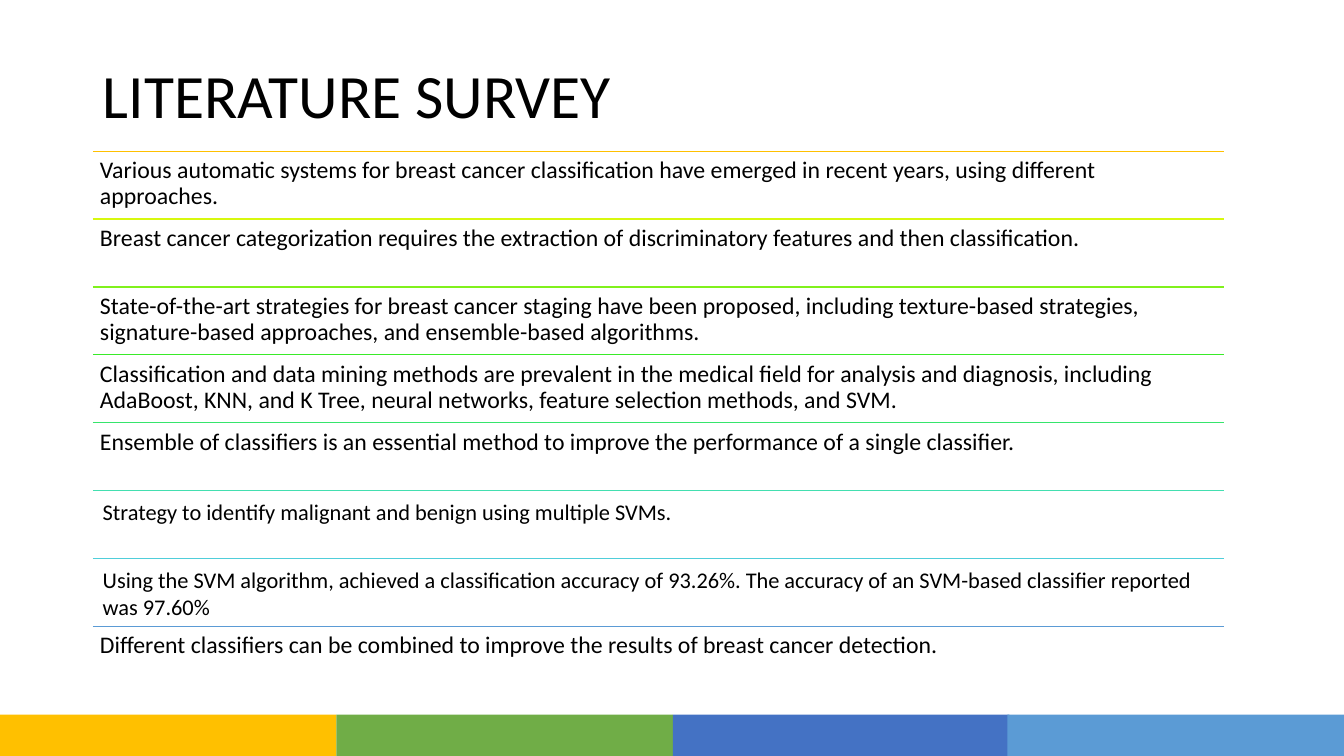
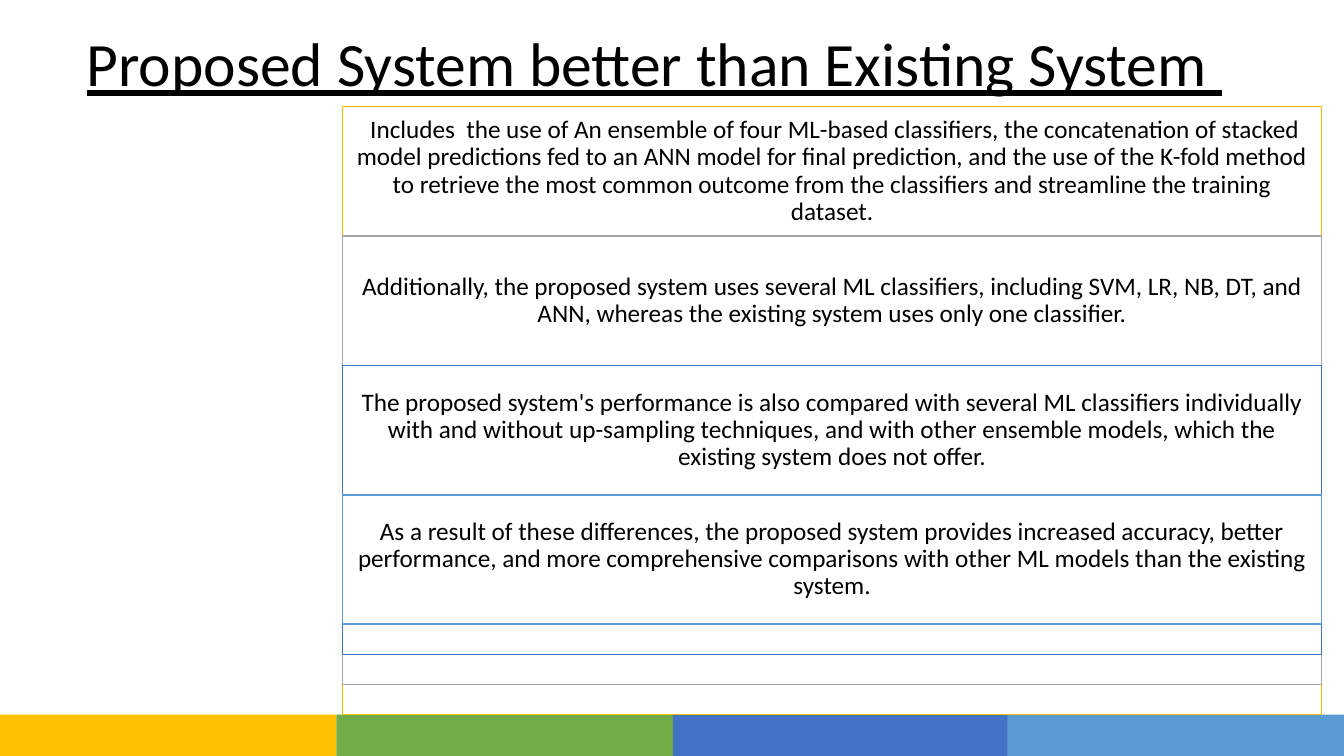
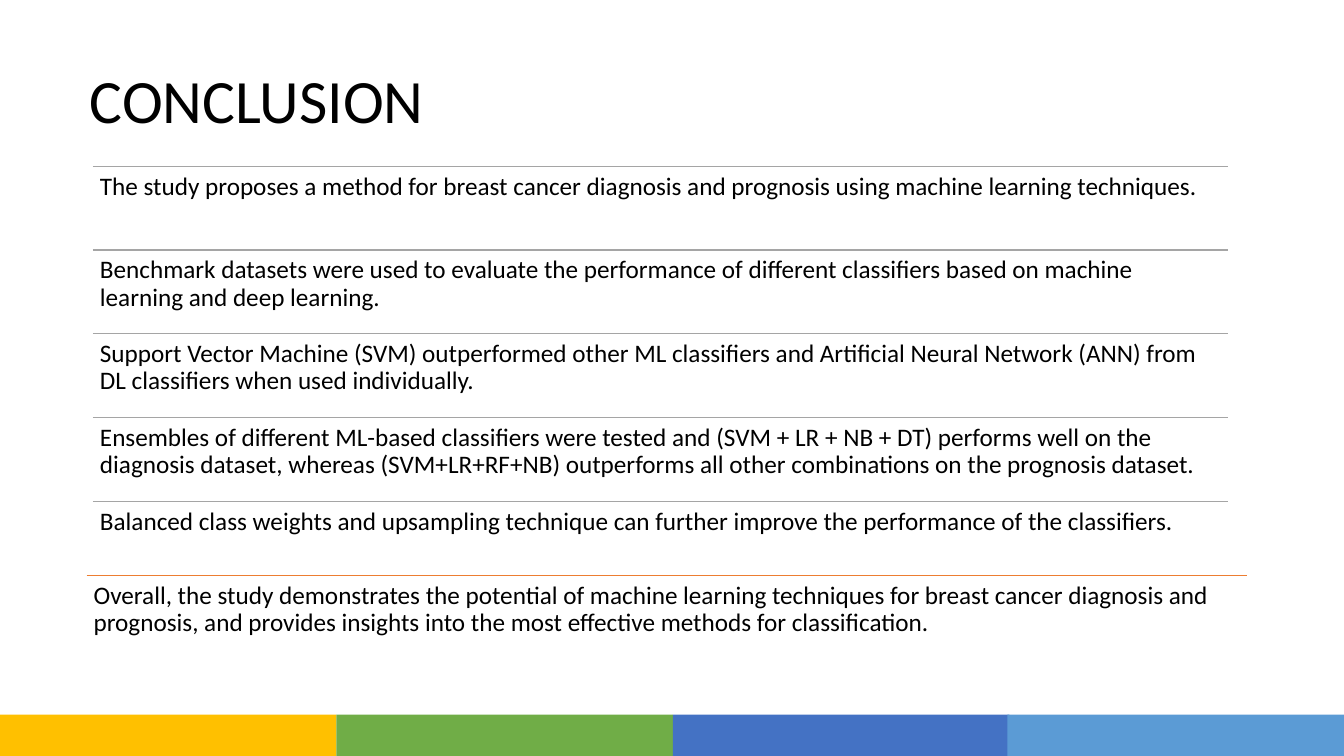
from lxml.etree import SubElement
from pptx import Presentation
from pptx.dml.color import RGBColor
from pptx.enum.shapes import MSO_CONNECTOR, MSO_SHAPE
from pptx.enum.text import MSO_ANCHOR, MSO_AUTO_SIZE, PP_ALIGN
from pptx.oxml.ns import qn
from pptx.util import Cm, Pt

BLACK = RGBColor(0x00, 0x00, 0x00)
WHITE = RGBColor(0xFF, 0xFF, 0xFF)
GOLD = RGBColor(0xFF, 0xC0, 0x00)
GREEN = RGBColor(0x70, 0xAD, 0x47)
BLUE = RGBColor(0x44, 0x72, 0xC4)
SKY = RGBColor(0x5B, 0x9B, 0xD5)
GREY = RGBColor(0xA5, 0xA5, 0xA5)
ORANGE = RGBColor(0xED, 0x7D, 0x31)
YELLOW = RGBColor(0xD7, 0xF8, 0x0E)
LIME = RGBColor(0x80, 0xF1, 0x1C)
LEAF = RGBColor(0x39, 0xEB, 0x29)
EMERALD = RGBColor(0x36, 0xE5, 0x6C)
MINT = RGBColor(0x43, 0xDF, 0xB0)
AQUA = RGBColor(0x4F, 0xCE, 0xDA)

WIDTH, HEIGHT = 33.87, 19.05
BAND_TOP, BAND_WIDTH = 18.01, 8.48

SURVEY = [
    (GOLD, "Various automatic systems for breast cancer classification have emerged in recent years, using different approaches."),
    (YELLOW, "Breast cancer categorization requires the extraction of discriminatory features and then classification."),
    (LIME, "State-of-the-art strategies for breast cancer staging have been proposed, including texture-based strategies, signature-based approaches, and ensemble-based algorithms."),
    (LEAF, "Classification and data mining methods are prevalent in the medical field for analysis and diagnosis, including AdaBoost, KNN, and K Tree, neural networks, feature selection methods, and SVM."),
    (EMERALD, "Ensemble of classifiers is an essential method to improve the performance of a single classifier."),
    (MINT, "Strategy to identify malignant and benign using multiple SVMs."),
    (AQUA, "Using the SVM algorithm, achieved a classification accuracy of 93.26%. The accuracy of an SVM-based classifier reported  was 97.60%"),
    (SKY, "Different classifiers can be combined to improve the results of breast cancer detection."),
]
SVM_ROWS = (MINT, AQUA)

ADVANTAGES = [
    (GOLD, " Includes  the use of An ensemble of four ML-based classifiers, the concatenation of stacked model predictions fed to an ANN model for final prediction, and the use of the K-fold method to retrieve the most common outcome from the classifiers and streamline the training dataset."),
    (GREY, "Additionally, the proposed system uses several ML classifiers, including SVM, LR, NB, DT, and ANN, whereas the existing system uses only one classifier."),
    (BLUE, "The proposed system's performance is also compared with several ML classifiers individually with and without up-sampling techniques, and with other ensemble models, which the existing system does not offer."),
    (SKY, "As a result of these differences, the proposed system provides increased accuracy, better performance, and more comprehensive comparisons with other ML models than the existing system."),
]

FINDINGS = [
    "The study proposes a method for breast cancer diagnosis and prognosis using machine learning techniques.",
    "Benchmark datasets were used to evaluate the performance of different classifiers based on machine learning and deep learning.",
    "Support Vector Machine (SVM) outperformed other ML classifiers and Artificial Neural Network (ANN) from DL classifiers when used individually.",
    "Ensembles of different ML-based classifiers were tested and (SVM + LR + NB + DT) performs well on the diagnosis dataset, whereas (SVM+LR+RF+NB) outperforms all other combinations on the prognosis dataset.",
    "Balanced class weights and upsampling technique can further improve the performance of the classifiers.",
]
OVERALL = "Overall, the study demonstrates the potential of machine learning techniques for breast cancer diagnosis and prognosis, and provides insights into the most effective methods for classification."


def assign(obj, values):
    for name, value in values.items():
        setattr(obj, name, value)


class Deck:
    font = {"name": "Calibri"}
    frame = {"word_wrap": True, "auto_size": MSO_AUTO_SIZE.NONE}

    def __init__(self):
        self.prs = Presentation()
        assign(self.prs, {"slide_width": Cm(WIDTH), "slide_height": Cm(HEIGHT)})
        self.layout = self.prs.slide_layouts[5]
        self.s = None

    def slide(self, text, x, y, w, underline=None):
        self.s = self.prs.slides.add_slide(self.layout)
        if len(self.prs.slides) == 1:
            self.bands()
        title = self.s.shapes.title
        assign(title, {"left": Cm(x), "top": Cm(y), "width": Cm(w), "height": Cm(2.69)})
        self.fill_text(title.text_frame, text, 44, anchor=MSO_ANCHOR.MIDDLE, underline=underline)

    def bands(self):
        for i, color in enumerate((GOLD, GREEN, BLUE, SKY)):
            x = min(i * BAND_WIDTH, WIDTH - BAND_WIDTH)
            band = self.rect(x, BAND_TOP, BAND_WIDTH, HEIGHT - BAND_TOP, color)
            band.element.nvSpPr.cNvPr.set("id", str(101 + i))
            self.layout.shapes.element.append(band.element)

    def fill_text(self, tf, text, size, align=PP_ALIGN.LEFT, anchor=MSO_ANCHOR.TOP,
                  spacing=0.9, underline=None):
        assign(tf, {**self.frame, "vertical_anchor": anchor})
        p = tf.paragraphs[0]
        assign(p, {"alignment": align, "line_spacing": spacing})
        r = p.add_run()
        r.text = text
        assign(r.font, {**self.font, "size": Pt(size), "underline": underline})
        r.font.color.rgb = BLACK

    def text(self, text, x, y, w, h, size=18, inset=(0.18, 0.18), **style):
        tf = self.s.shapes.add_textbox(Cm(x), Cm(y), Cm(w), Cm(h)).text_frame
        side, end = map(Cm, inset)
        assign(tf, {"margin_left": side, "margin_right": side,
                    "margin_top": end, "margin_bottom": end})
        self.fill_text(tf, text, size, **style)

    def rect(self, x, y, w, h, fill, line=None):
        sp = self.s.shapes.add_shape(MSO_SHAPE.RECTANGLE, Cm(x), Cm(y), Cm(w), Cm(h))
        sp.shadow.inherit = False
        sp.fill.solid()
        sp.fill.fore_color.rgb = fill
        if line is None:
            sp.line.fill.background()
        else:
            sp.line.color.rgb = line
            sp.line.width = Pt(1)
        return sp

    def rule(self, x, y, w, color):
        rule = self.s.shapes.add_connector(
            MSO_CONNECTOR.STRAIGHT, Cm(x), Cm(y), Cm(x + w), Cm(y))
        rule.line.color.rgb = color
        rule.line.width = Pt(1)
        SubElement(rule.element.spPr, qn("a:effectLst"))

    def ruled_text(self, text, x, y, w, h, color, drop=0, **style):
        self.rule(x, y, w, color)
        self.text(text, x, y + drop, w, h - drop, **style)


def literature_survey(deck):
    deck.slide("LITERATURE SURVEY", 2.34, 1.14, 19.25)
    plain = {"size": 17}
    svm = {"size": 16, "inset": (0.25, 0.13), "spacing": 1.0, "drop": 0.06}
    pitch = 1.71
    for i, (color, text) in enumerate(SURVEY):
        style = svm if color in SVM_ROWS else plain
        deck.ruled_text(text, 2.34, 3.81 + i * pitch, 28.5, pitch, color, **style)


def proposed_system(deck):
    deck.slide("Proposed System better than Existing System ", 1.93, 0.33, 29.62, underline=True)
    x, top, w, pitch, step = 8.64, 2.69, 24.66, 3.26, 0.76
    for i, (color, text) in enumerate(ADVANTAGES):
        y = top + i * pitch
        deck.rect(x, y, w, BAND_TOP - i * step - y, WHITE, color)
        deck.text(text, x, y, w, pitch, align=PP_ALIGN.CENTER, anchor=MSO_ANCHOR.MIDDLE)


def conclusion(deck):
    deck.slide("CONCLUSION", 2.01, 1.27, 19.25)
    pitch = 2.11
    for i, text in enumerate(FINDINGS):
        deck.ruled_text(text, 2.34, 4.19 + i * pitch, 28.6, pitch, GREY)
    deck.ruled_text(OVERALL, 2.18, 14.5, 29.25, 1.8, ORANGE)


def main():
    deck = Deck()
    literature_survey(deck)
    proposed_system(deck)
    conclusion(deck)
    deck.prs.save("out.pptx")


if __name__ == "__main__":
    main()
